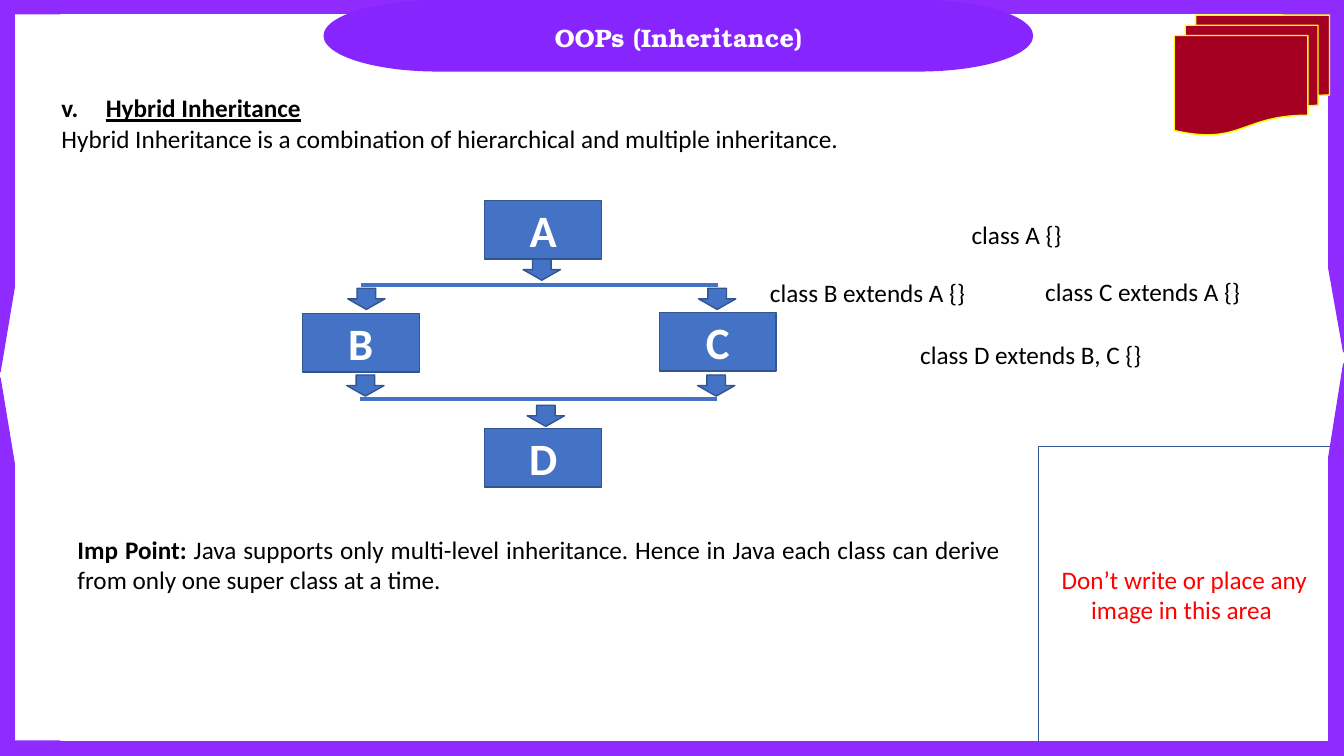
from lxml import etree
from pptx import Presentation
from pptx import util as u
from pptx.dml.color import RGBColor
from pptx.enum import shapes, text
from pptx.oxml import ns

PURPLE = RGBColor(0x90, 0x2B, 0xFF)
BANNER = RGBColor(0x87, 0x25, 0xFE)
CRIMSON = RGBColor(0xA5, 0x00, 0x21)
YELLOW = RGBColor(0xFF, 0xFF, 0x00)
BLUE = RGBColor(0x44, 0x72, 0xC4)
NAVY = RGBColor(0x32, 0x54, 0x91)
RED = RGBColor(0xFF, 0x00, 0x00)
WHITE = RGBColor(0xFF, 0xFF, 0xFF)
BLACK = RGBColor(0x00, 0x00, 0x00)

CELL = u.Inches(0.1)  # grid of 133.3 columns by 75 rows
COLUMNS, ROWS = 133.33, 75
KIND = shapes.MSO_SHAPE
ALIGN = text.PP_ALIGN
ANCHOR = text.MSO_ANCHOR


def grid(*cells):
    return [u.Emu(round(cell * CELL)) for cell in cells]


class SlideBuilder:
    font = "Calibri"
    size = 18

    def __init__(self, slide):
        self.slide = slide

    def style(self, paragraph, color=BLACK, size=None, bold=False, font=None, align=ALIGN.LEFT):
        paragraph.alignment = align
        paragraph.space_before = u.Pt(0)
        paragraph.font.name = font or self.font
        paragraph.font.size = u.Pt(size or self.size)
        paragraph.font.bold = bold
        paragraph.font.color.rgb = color

    def shape(self, kind, place, fill, line=None, adjust=(), flip=False, turn=0):
        shape = self.slide.shapes.add_shape(kind, *grid(*place))
        shape.shadow.inherit = False
        shape.fill.solid()
        shape.fill.fore_color.rgb = fill
        if line is None:
            shape.line.fill.background()
        else:
            shape.line.color.rgb = line
            shape.line.width = u.Pt(1)
        for index, value in enumerate(adjust):
            shape.adjustments[index] = value
        if flip:
            shape.element.spPr.xfrm.set("flipH", "1")
        shape.rotation = turn
        return shape

    def label(self, shape, words, **style):
        frame = shape.text_frame
        frame.word_wrap = True
        frame.vertical_anchor = ANCHOR.MIDDLE
        frame.text = words
        self.style(frame.paragraphs[0], align=ALIGN.CENTER, **style)

    def textbox(self, place, words, wrap=False, align=ALIGN.LEFT):
        frame = self.slide.shapes.add_textbox(*grid(*place)).text_frame
        frame.word_wrap = wrap
        paragraph = frame.paragraphs[0]
        paragraph.text = words
        self.style(paragraph, align=align)
        return paragraph

    def placeholder(self, index, place):
        holder = self.slide.placeholders[index]
        holder.left, holder.top, holder.width, holder.height = grid(*place)
        holder.element.getparent().append(holder.element)  # bring to front
        frame = holder.text_frame
        frame.auto_size = text.MSO_AUTO_SIZE.NONE
        frame.word_wrap = True
        frame.vertical_anchor = ANCHOR.TOP
        return frame

    def bullet(self, paragraph, indent=0, start=None):
        properties = paragraph._p.get_or_add_pPr()
        properties.set("marL", str(round(indent * CELL)))
        properties.set("indent", str(round(-indent * CELL)))
        if start is None:
            etree.SubElement(properties, ns.qn("a:buNone"))
        else:
            etree.SubElement(properties, ns.qn("a:buFont"), typeface="+mj-lt")
            etree.SubElement(properties, ns.qn("a:buAutoNum"), type="romanLcPeriod", startAt=str(start))

    def bar(self, left, right, top):
        bar = self.slide.shapes.add_connector(
            shapes.MSO_CONNECTOR.STRAIGHT, *grid(left, top, right, top))
        bar.line.color.rgb = BLUE
        bar.line.width = u.Pt(3)
        etree.SubElement(bar.element.spPr, ns.qn("a:effectLst"))


def main():
    presentation = Presentation()
    presentation.slide_width, presentation.slide_height = grid(COLUMNS, ROWS)
    slide = presentation.slides.add_slide(presentation.slide_layouts[1])
    builder = SlideBuilder(slide)

    # Purple border: upper corners, lower left corner, top edge
    left_adjust, right_adjust = (0.218, 0.228), (0.228, 0.239)
    builder.shape(KIND.HALF_FRAME, (0, 0, 6.2, 36.9), PURPLE, PURPLE, left_adjust)
    builder.shape(KIND.HALF_FRAME, (127.1, 0, 6.2, 34.9), PURPLE, PURPLE, right_adjust, flip=True)
    builder.shape(KIND.HALF_FRAME, (0, 37.5, 6.2, 37.5), PURPLE, PURPLE,
                  right_adjust[::-1], flip=True, turn=180)
    builder.shape(KIND.RECTANGLE, (0, -0.1, COLUMNS, 1.4), PURPLE, PURPLE)

    # Title banner
    builder.shape(KIND.FLOWCHART_TERMINATOR, (32.1, 0, 70.4, 7.1), BANNER)
    title = builder.placeholder(0, (33.2, 1.7, 68.2, 4))
    title.text = "OOPs (Inheritance)"
    builder.style(title.paragraphs[0], WHITE, bold=True, font="TeX Gyre Bonum", align=ALIGN.CENTER)

    # Corner ornament and reserved area
    builder.shape(KIND.FLOWCHART_MULTIDOCUMENT, (116.5, 1.5, 15.4, 11.9), CRIMSON, YELLOW)
    reserved = builder.shape(KIND.RECTANGLE, (103, 44.3, 29, 29.3), WHITE, NAVY)
    builder.label(reserved, "Don’t write or place any image in this area ", color=RED)

    # Purple border: lower right corner, bottom edge
    builder.shape(KIND.HALF_FRAME, (127.1, 36.1, 6.2, 38.9), PURPLE, PURPLE, right_adjust, turn=180)
    builder.shape(KIND.RECTANGLE, (0, 73.6, COLUMNS, 1.4), PURPLE, PURPLE)

    # Heading and definition
    body = builder.placeholder(1, (5.1, 8.7, 95.1, 7.1))
    heading, definition = body.paragraphs[0], body.add_paragraph()
    heading.text = "Hybrid Inheritance"
    definition.text = "Hybrid Inheritance is a combination of hierarchical and multiple inheritance."
    builder.bullet(heading, indent=4.4, start=5)
    builder.bullet(definition)
    builder.style(heading, bold=True)
    heading.font.underline = True
    builder.style(definition)

    # Inheritance diagram
    for name, left, top in (("A", 48.1, 19.9), ("D", 48.1, 42.5), ("C", 65.4, 31), ("B", 30, 31.1)):
        box = builder.shape(KIND.RECTANGLE, (left, top, 11.6, 5.8), BLUE, NAVY)
        builder.label(box, name, color=WHITE, size=32, bold=True)
    builder.bar(35.8, 71.2, 28.3)
    builder.bar(35.7, 71.1, 39.6)
    for left, top in ((51.9, 25.7), (34.5, 28.6), (69.3, 28.6),
                      (52.3, 40.2), (34.4, 37.2), (69.2, 37.2)):
        builder.shape(KIND.DOWN_ARROW, (left, top, 3.7, 2.1), BLUE, NAVY)

    # Important point
    point = builder.textbox((6.7, 52.5, 93.5, 7.1), "", wrap=True, align=ALIGN.JUSTIFY)
    point.add_run().text = "Imp Point:"
    point.runs[0].font.bold = True
    point.add_run().text = (" Java supports only multi-level inheritance. Hence in Java each class "
                            "can derive from only one super class at a time.")

    # Class declarations
    for words, left, top, width in (("class A {}", 95.4, 21.3, 11),
                                    ("class B extends A {}", 75.4, 27, 21.5),
                                    ("class C extends A {}", 102.7, 26.9, 21.5),
                                    ("class D extends B, C {}", 90.3, 33.2, 24.2)):
        builder.textbox((left, top, width, 4), words)

    presentation.save("out.pptx")


if __name__ == "__main__":
    main()
